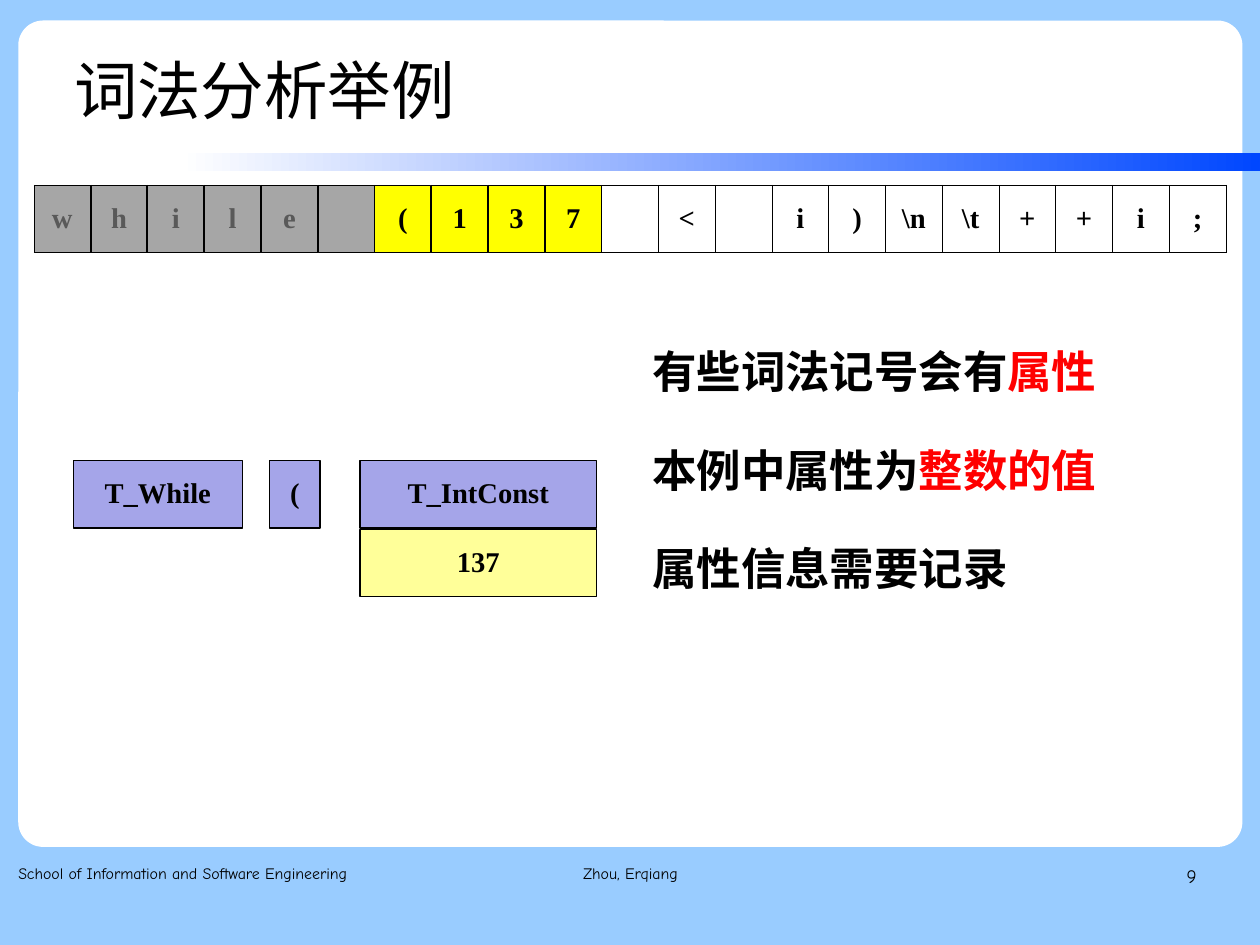
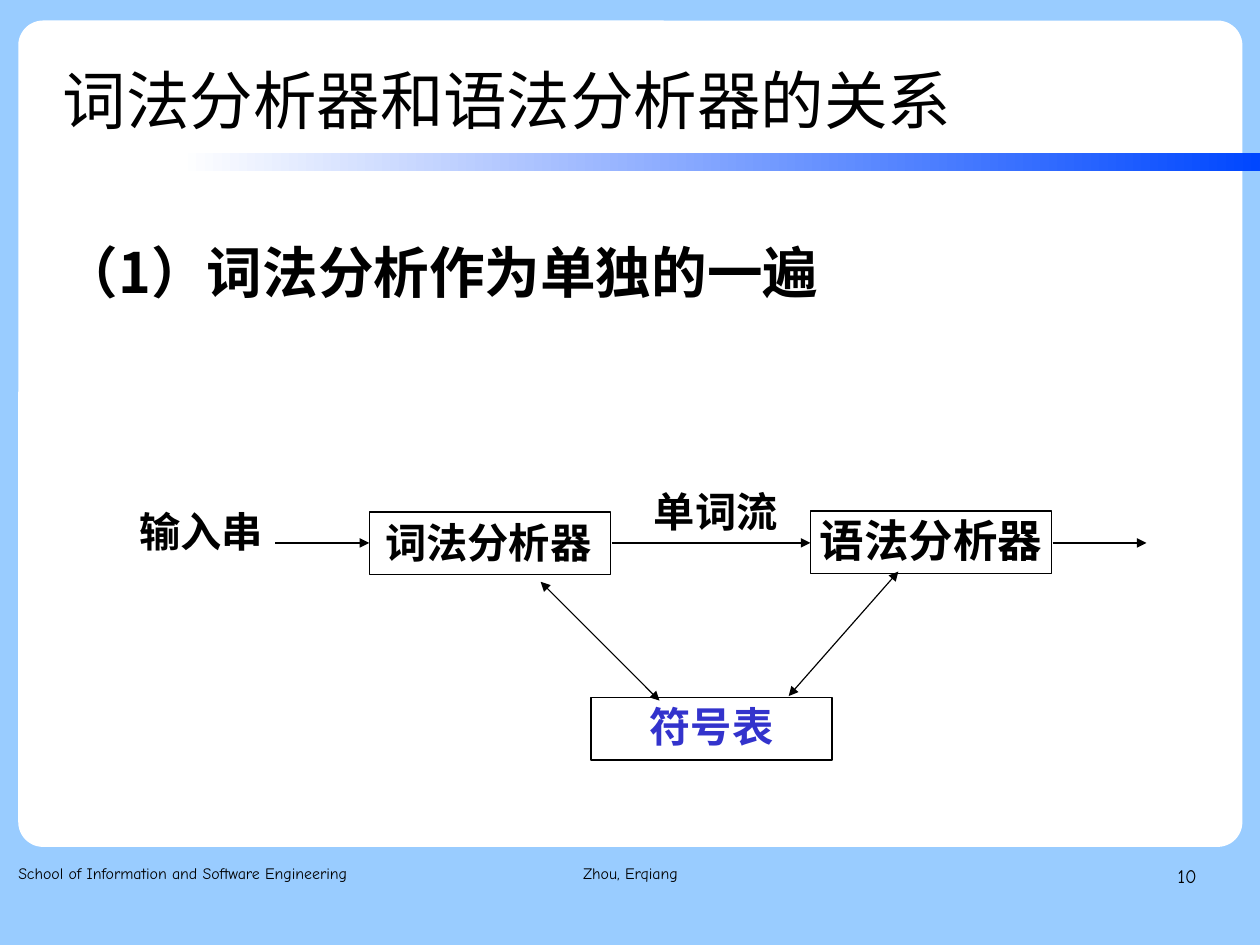
from lxml import etree
from pptx import Presentation
from pptx import util as u
from pptx.dml.color import RGBColor
from pptx.enum import shapes, text
from pptx.oxml.ns import qn

SKY = RGBColor(0x99, 0xCC, 0xFF)
BLUE = RGBColor(0x00, 0x47, 0xFF)
INDIGO = RGBColor(0x33, 0x33, 0xCC)
LILAC = RGBColor(0xA5, 0xA5, 0xE9)
YELLOW = RGBColor(0xFF, 0xFF, 0x00)
CREAM = RGBColor(0xFF, 0xFF, 0x99)
RED = RGBColor(0xFF, 0x00, 0x00)
GRAY = RGBColor(0xA6, 0xA6, 0xA6)
DIM = RGBColor(0x59, 0x59, 0x59)
BLACK = RGBColor(0x00, 0x00, 0x00)
WHITE = RGBColor(0xFF, 0xFF, 0xFF)

HAN, SERIF, COMIC = "Noto Sans CJK SC", "Times New Roman", "Comic Neue"
LEFT, MID, RIGHT = text.PP_ALIGN.LEFT, text.PP_ALIGN.CENTER, text.PP_ALIGN.RIGHT
TOP, CENTER = text.MSO_ANCHOR.TOP, text.MSO_ANCHOR.MIDDLE
RECT = shapes.MSO_SHAPE.RECTANGLE
# The page is 28 by 21 cm
WIDE, HIGH = 28 / 2.54, 21 / 2.54

# Source characters: one cell each
CHARS = [*"while", "", *"(137", "", "<", "", "i", ")", "\\n", "\\t", *"++i;"]
DONE, READ = 6, 10
ROW_X, ROW_Y, ROW_W, ROW_H = 0.3, 1.62, 10.43, 0.59
STEP = ROW_W / len(CHARS)


# Text
def style(para, size, face, color=BLACK, bold=False, align=LEFT, space=0.93):
    para.alignment, para.line_spacing = align, space
    font = para.font
    font.size, font.name, font.bold = u.Pt(size), face, bold
    font.color.rgb = color
    props = para._p.pPr.find(qn("a:defRPr"))
    etree.SubElement(props, qn("a:ea")).set("typeface", face)


def inset(frame, x, y):
    frame.margin_left = frame.margin_right = u.Inches(x)
    frame.margin_top = frame.margin_bottom = u.Inches(y)


def write(slide, at, words, size, face=HAN, pad=(0, 0), anchor=TOP, wrap=True, **look):
    frame = slide.shapes.add_textbox(*map(u.Inches, at)).text_frame
    frame.word_wrap, frame.vertical_anchor = wrap, anchor
    inset(frame, *pad)
    frame.text = words
    style(frame.paragraphs[0], size, face, **look)


# Shapes
def block(slide, at, fill=None, line=BLACK, kind=RECT):
    shape = slide.shapes.add_shape(kind, *map(u.Inches, at))
    shape.shadow.inherit = False
    if fill is None:
        shape.fill.background()
    else:
        shape.fill.solid()
        shape.fill.fore_color.rgb = fill
    if line is None:
        shape.line.fill.background()
    else:
        shape.line.color.rgb = line
        shape.line.width = u.Pt(0.75)
    return shape


def label(shape, words, size, face, pad=(0.1, 0.05), wrap=True, color=BLACK):
    frame = shape.text_frame
    frame.word_wrap, frame.vertical_anchor = wrap, CENTER
    inset(frame, *pad)
    frame.text = words
    style(frame.paragraphs[0], size, face, color, True, MID)


def token(slide, at, words, fill, color=BLACK):
    shape = block(slide, at, fill)
    if words:
        label(shape, words, 18, SERIF, color=color)


def arrow(slide, start, end, ends=("tailEnd",)):
    line = slide.shapes.add_connector(
        shapes.MSO_CONNECTOR.STRAIGHT, *map(u.Inches, (*start, *end)))
    line.line.color.rgb = BLACK
    line.line.width = u.Pt(0.75)
    props = line._element.spPr
    for name in ends:
        etree.SubElement(props.find(qn("a:ln")), qn("a:" + name)).set("type", "triangle")
    etree.SubElement(props, qn("a:effectLst"))


# Table of characters
def edge(cell):
    props = cell._tc.get_or_add_tcPr()
    for side in "LRTB":
        line = etree.SubElement(props, qn("a:ln" + side), w=str(u.Pt(0.45)))
        fill = etree.SubElement(line, qn("a:solidFill"))
        etree.SubElement(fill, qn("a:srgbClr"), val=str(BLACK))


def strip(slide):
    table = slide.shapes.add_table(
        1, len(CHARS), *map(u.Inches, (ROW_X, ROW_Y, ROW_W, ROW_H))).table
    table.first_row = table.horz_banding = False
    for i, char in enumerate(CHARS):
        table.columns[i].width = u.Inches(STEP)
        cell = table.cell(0, i)
        edge(cell)
        cell.fill.solid()
        cell.fill.fore_color.rgb = WHITE
        cell.vertical_anchor = CENTER
        cell.text = char
        style(cell.text_frame.paragraphs[0], 18, SERIF, bold=True, align=MID, space=1.0)


# Shared frame: panel, band, title, footer
def page(deck, number, title, pad, anchor):
    slide = deck.slides.add_slide(deck.slide_layouts[6])
    back = slide.background.fill
    back.solid()
    back.fore_color.rgb = SKY
    panel = block(slide, (0.16, 0.18, 10.71, 7.23), WHITE, None,
                  shapes.MSO_SHAPE.ROUNDED_RECTANGLE)
    panel.adjustments[0] = 0.03
    band = block(slide, (1.57, 1.34, 9.45, 0.16), WHITE, None).fill
    band.gradient()
    band.gradient_angle = 0
    for stop, color, place in zip(band.gradient_stops, (WHITE, BLUE), (0, 1)):
        stop.color.rgb, stop.position = color, place
    write(slide, (0.55, 0.33, 8.58, 1.01), title, 40, pad=pad, anchor=anchor, space=1.1)
    for x, width, words, size, align in (
            (0.16, 3.38, "School of Information and Software Engineering", 10, LEFT),
            (3.77, 3.49, "Zhou, Erqiang", 10, MID),
            (7.9, 2.57, str(number), 12, RIGHT)):
        write(slide, (x, 7.53, width, 0.57), words, size, COMIC, align=align, space=1.16)
    return slide


def scan(deck):
    slide = page(deck, 9, "词法分析举例", (0.1, 0.05), TOP)
    strip(slide)
    # Characters already read
    for i, char in enumerate(CHARS[:READ]):
        fill, color = (GRAY, DIM) if i < DONE else (YELLOW, BLACK)
        token(slide, (ROW_X + i * STEP, ROW_Y, 0.49, ROW_H), char, fill, color)
    # Tokens found
    for x, y, width, words, fill in (
            (0.64, 4.03, 1.48, "T_While", LILAC),
            (2.36, 4.03, 0.44, "(", LILAC),
            (3.15, 4.03, 2.07, "T_IntConst", LILAC),
            (3.15, 4.63, 2.07, "137", CREAM)):
        token(slide, (x, y, width, ROW_H), words, fill)
    # Remarks
    frame = slide.shapes.add_textbox(*map(u.Inches, (5.61, 3, 5.4, 2.27))).text_frame
    frame.word_wrap = True
    inset(frame, 0.1, 0.05)
    notes = (("有些词法记号会有", "属性"), ("本例中属性为", "整数的值"),
             ("属性信息需要记录", ""))
    for i, (plain, vivid) in enumerate(notes):
        para = frame.add_paragraph() if i else frame.paragraphs[0]
        style(para, 28, HAN, bold=True)
        para.space_after = u.Pt(31)
        para.add_run().text = plain
        if vivid:
            run = para.add_run()
            run.text = vivid
            run.font.color.rgb = RED


def flow(deck):
    slide = page(deck, 10, "词法分析器和语法分析器的关系", (0, 0), CENTER)
    write(slide, (0.55, 1.89, 9.92, 4.79), "（1）词法分析作为单独的一遍", 35,
          pad=(0, 0.02), bold=True, space=1.3)
    # Boxes
    pad = (0.11, 0.06)
    block(slide, (3.23, 4.48, 2.11, 0.55))
    for x, y, words, size, color in ((7.09, 4.47, "语法分析器", 28, BLACK),
                                     (5.17, 6.1, "符号表", 26, INDIGO)):
        label(block(slide, (x, y, 2.11, 0.55)), words, size, HAN, pad, False, color)
    for x, y, width, words in ((3.26, 4.5, 2.03, "词法分析器"),
                               (1.11, 4.41, 1.31, "输入串"),
                               (5.61, 4.23, 1.31, "单词流")):
        write(slide, (x, y, width, 0.51), words, 26, pad=pad, wrap=False, bold=True)
    # Arrows
    for start, end in ((2.41, 3.23), (5.35, 7.09), (9.21, 10.03)):
        arrow(slide, (start, 4.75), (end, 4.75))
    for start, end in (((6.9, 6.09), (7.86, 5)), ((5.77, 6.13), (4.73, 5.09))):
        arrow(slide, start, end, ("headEnd", "tailEnd"))


def main():
    deck = Presentation()
    deck.slide_width, deck.slide_height = u.Inches(WIDE), u.Inches(HIGH)
    scan(deck)
    flow(deck)
    deck.save("out.pptx")


if __name__ == "__main__":
    main()
